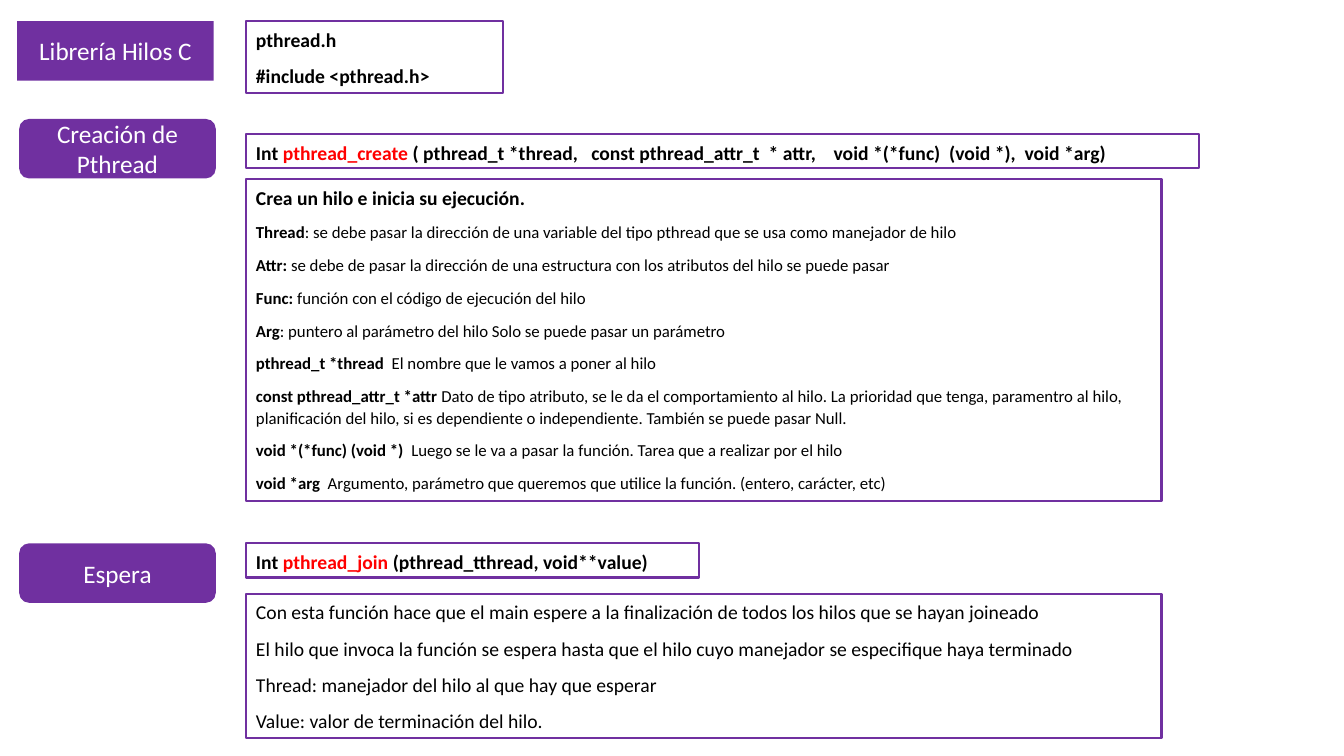
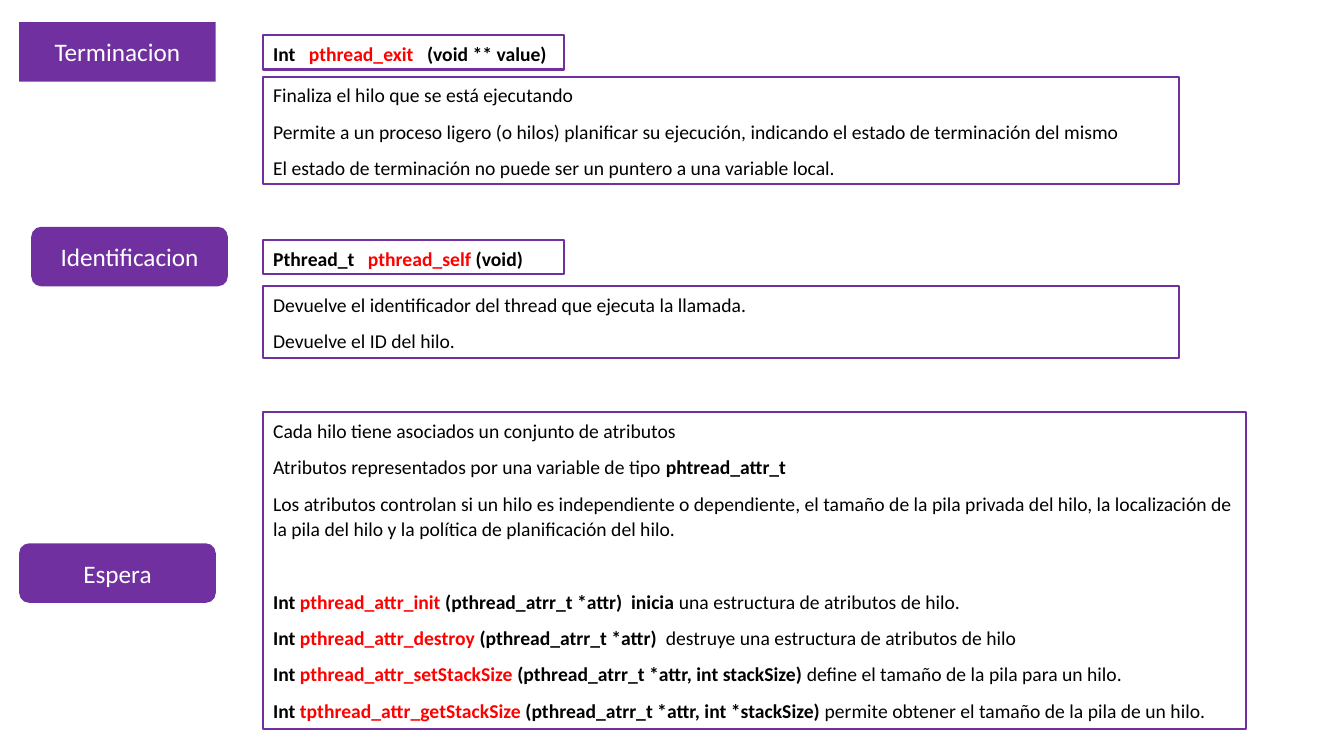
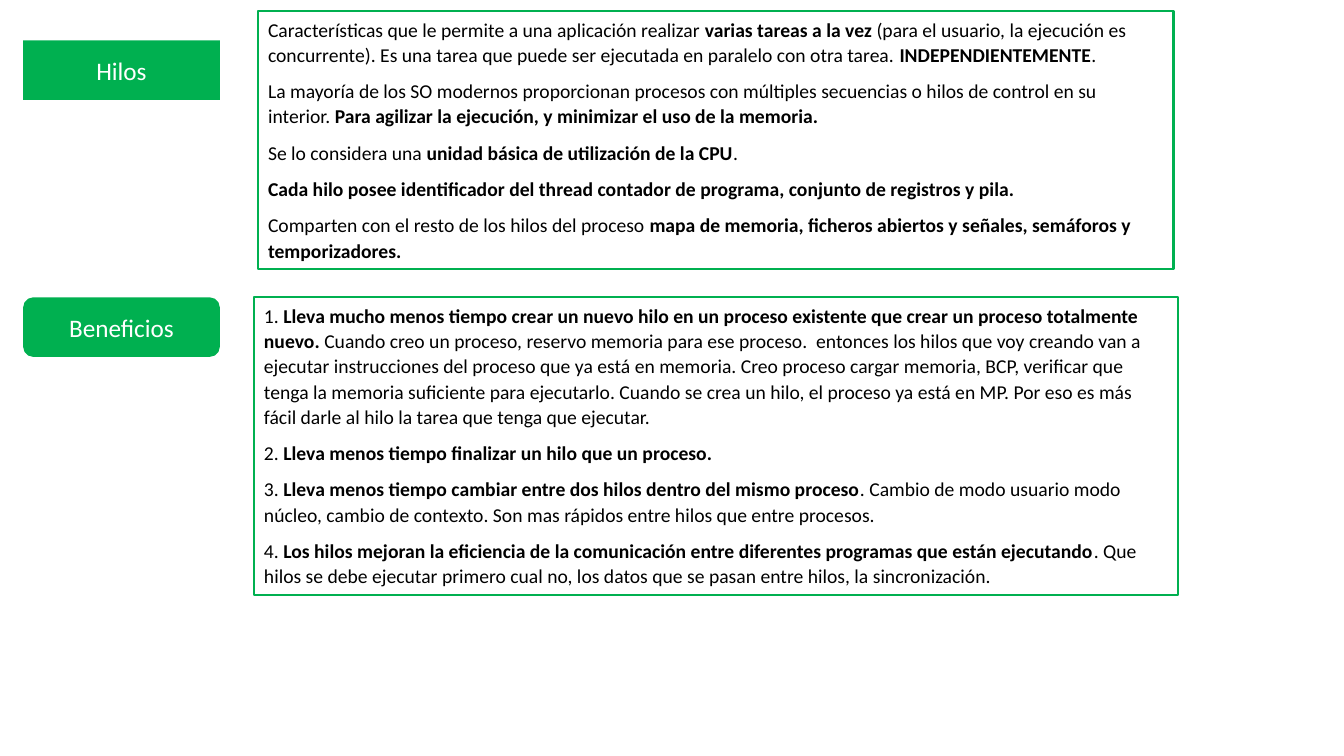
import pptx
import pptx.util
import pptx.dml.color
import pptx.enum.dml
import pptx.enum.shapes
import pptx.enum.text
import pptx.oxml

PX = 9144  # EMU in one px, 100 px to the inch
PAGE_SIZE = (1333, 750)
LABEL_SIZE = (195, 59)
TITLE_ONLY = 5
FONT = "Calibri"
COLOURS = {"purple": "7030A0", "green": "00B050", "call": "FF0000",
           "ink": "000000", "paper": "FFFFFF"}

# Text styles: size, bold, colour
STYLES = {
    "plain": (14, False, "ink"),
    "strong": (14, True, "ink"),
    "call": (14, True, "call"),
    "note": (12, False, "ink"),
    "term": (12, True, "ink"),
    "label": (18, False, "paper"),
}
BOX_PARA = {"line_spacing": 1.07, "space_after": pptx.util.Pt(8)}
LABEL_PARA = {"alignment": pptx.enum.text.PP_ALIGN.CENTER}
BOX_FRAME = {"word_wrap": True,
             "auto_size": pptx.enum.text.MSO_AUTO_SIZE.SHAPE_TO_FIT_TEXT}
LABEL_FRAME = {"word_wrap": True,
               "auto_size": pptx.enum.text.MSO_AUTO_SIZE.NONE,
               "vertical_anchor": pptx.enum.text.MSO_ANCHOR.MIDDLE}
SECTION_GAP = 26  # points above a paragraph that opens a new group


# Content: a paragraph is a list of (style, text)
def plain(text):
    return [("plain", text)]


def signature(kind, name, arguments):
    return [("strong", kind), ("call", name), ("strong", arguments)]


def definition(term, meaning):
    return [("term", term), ("note", meaning)]


INCLUDE = [[("strong", "pthread.h")], [("strong", "#include <pthread.h>")]]
CREATE_CALL = [signature(
    "Int ", "pthread_create ",
    "( pthread_t *thread,   const pthread_attr_t  * attr,    void *(*func)  (void *),  void *arg)")]
CREATE_TEXT = [
    [("strong", "Crea un hilo e inicia su ejecución.")],
    definition("Thread", ": se debe pasar la dirección de una variable del tipo pthread "
               "que se usa como manejador de hilo"),
    definition("Attr: ", "se debe de pasar la dirección de una estructura con los atributos "
               "del hilo se puede pasar"),
    definition("Func: ", "función con el código de ejecución del hilo"),
    definition("Arg", ": puntero al parámetro del hilo Solo se puede pasar un parámetro"),
    definition("pthread_t *thread  ", "El nombre que le vamos a poner al hilo"),
    definition("const pthread_attr_t *attr ",
               "Dato de tipo atributo, se le da el comportamiento al hilo. La prioridad que "
               "tenga, paramentro al hilo, planificación del hilo, si es dependiente o "
               "independiente. También se puede pasar Null."),
    definition("void *(*func) (void *) ",
               " Luego se le va a pasar la función. Tarea que a realizar por el hilo"),
    definition("void *arg ", " Argumento, parámetro que queremos que utilice la función. "
               "(entero, carácter, etc)"),
]
JOIN_CALL = [signature("Int ", "pthread_join ", "(pthread_tthread, void**value)")]
JOIN_TEXT = [
    plain("Con esta función hace que el main espere a la finalización de todos los hilos "
          "que se hayan joineado"),
    plain("El hilo que invoca la función se espera hasta que el hilo cuyo manejador se "
          "especifique haya terminado"),
    plain("Thread: manejador del hilo al que hay que esperar"),
    plain("Value: valor de terminación del hilo."),
]
EXIT_CALL = [signature("Int   ", "pthread_exit   ", "(void ** value)")]
EXIT_TEXT = [
    plain("Finaliza el hilo que se está ejecutando"),
    plain("Permite a un proceso ligero (o hilos) planificar su ejecución, indicando el "
          "estado de terminación del mismo"),
    plain("El estado de terminación no puede ser un puntero a una variable local."),
]
SELF_CALL = [signature("Pthread_t   ", "pthread_self ", "(void)")]
SELF_TEXT = [
    plain("Devuelve el identificador del thread que ejecuta la llamada."),
    plain("Devuelve el ID del hilo."),
]
ATTRIBUTES = [
    plain("Cada hilo tiene asociados un conjunto de atributos"),
    [("plain", "Atributos representados por una variable de tipo "),
     ("strong", "phtread_attr_t")],
    plain("Los atributos controlan si un hilo es independiente o dependiente, el tamaño de "
          "la pila privada del hilo, la localización de la pila del hilo y la política de "
          "planificación del hilo."),
    [("gap", "")] + signature("Int ", "pthread_attr_init ", "(pthread_atrr_t *attr)  inicia ")
    + plain("una estructura de atributos de hilo."),
    signature("Int ", "pthread_attr_destroy ", "(pthread_atrr_t *attr)  ")
    + plain("destruye una estructura de atributos de hilo"),
    signature("Int ", "pthread_attr_setStackSize ", "(pthread_atrr_t *attr, int stackSize) ")
    + plain("define el tamaño de la pila para un hilo."),
    signature("Int ", "tpthread_attr_getStackSize ", "(pthread_atrr_t *attr, int *stackSize) ")
    + plain("permite obtener el tamaño de la pila de un hilo."),
]
THREADS = [
    [("plain", "Características que le permite a una aplicación realizar "),
     ("strong", "varias tareas a la vez "),
     ("plain", "(para el usuario, la ejecución es concurrente). Es una tarea que puede ser "
      "ejecutada en paralelo con otra tarea. "),
     ("strong", "INDEPENDIENTEMENTE"), ("plain", ".")],
    [("plain", "La mayoría de los SO modernos proporcionan procesos con múltiples secuencias "
      "o hilos de control en su interior. "),
     ("strong", "Para agilizar la ejecución, y minimizar el uso de la memoria.")],
    [("plain", "Se lo considera una "),
     ("strong", "unidad básica de utilización de la CPU"), ("plain", ".")],
    [("strong", "Cada hilo posee identificador del thread contador de programa, conjunto de "
      "registros y pila.")],
    [("plain", "Comparten con el resto de los hilos del proceso "),
     ("strong", "mapa de memoria, ficheros abiertos y señales, semáforos y temporizadores.")],
]
BENEFITS = [
    [("plain", "1. "),
     ("strong", "Lleva mucho menos tiempo crear un nuevo hilo en un proceso existente que "
      "crear un proceso totalmente nuevo. "),
     ("plain", "Cuando creo un proceso, reservo memoria para ese proceso.  entonces los hilos "
      "que voy creando van a ejecutar instrucciones del proceso que ya está en memoria. Creo "
      "proceso cargar memoria, BCP, verificar que tenga la memoria suficiente para "
      "ejecutarlo. Cuando se crea un hilo, el proceso ya está en MP. Por eso es más fácil "
      "darle al hilo la tarea que tenga que ejecutar.")],
    [("plain", "2. "), ("strong", "Lleva menos tiempo finalizar un hilo que un proceso.")],
    [("plain", "3. "),
     ("strong", "Lleva menos tiempo cambiar entre dos hilos dentro del mismo proceso"),
     ("plain", ". Cambio de modo usuario modo núcleo, cambio de contexto. Son mas rápidos "
      "entre hilos que entre procesos.")],
    [("plain", "4. "),
     ("strong", "Los hilos mejoran la eficiencia de la comunicación entre diferentes "
      "programas que están ejecutando"),
     ("plain", ". Que hilos se debe ejecutar primero cual no, los datos que se pasan entre "
      "hilos, la sincronización.")],
]

# Pages: labels are (left, top, text); boxes are (left, top, width, height, paragraphs)
PAGES = [
    {"accent": "purple",
     "labels": [(17, 21, "Librería Hilos C"), (19, 118, "Creación de Pthread"),
                (19, 539, "Espera")],
     "boxes": [(244, 21, 255, 71, INCLUDE), (244, 133, 945, 34, CREATE_CALL),
               (244, 178, 908, 319, CREATE_TEXT), (244, 539, 449, 34, JOIN_CALL),
               (244, 589, 908, 143, JOIN_TEXT)]},
    {"accent": "purple",
     "labels": [(19, 22, "Terminacion"), (31, 225, "Identificacion"), (19, 539, "Espera")],
     "boxes": [(261, 35, 298, 34, EXIT_CALL), (261, 76, 908, 107, EXIT_TEXT),
               (261, 238, 298, 34, SELF_CALL), (261, 284, 908, 71, SELF_TEXT),
               (261, 409, 975, 314, ATTRIBUTES)]},
    {"accent": "green",
     "labels": [(23, 40, "Hilos"), (23, 295, "Beneficios")],
     "boxes": [(256, 11, 908, 256, THREADS), (252, 295, 916, 295, BENEFITS)]},
]


# Shared drawing
def colour(name):
    return pptx.dml.color.RGBColor.from_string(COLOURS[name])


def set_all(target, values):
    for name, value in values.items():
        setattr(target, name, value)


def paint(shape, fill):
    shape.fill.solid()
    shape.fill.fore_color.rgb = colour(fill)


def write(frame, paragraphs, frame_format, para_format):
    set_all(frame, frame_format)
    for index, spans in enumerate(paragraphs):
        para = frame.add_paragraph() if index else frame.paragraphs[0]
        set_all(para, para_format)
        for style, text in spans:
            if style == "gap":
                para.space_before = pptx.util.Pt(SECTION_GAP)
                continue
            size, bold, ink = STYLES[style]
            span = para.add_run()
            span.text = text
            set_all(span.font, {"name": FONT, "size": pptx.util.Pt(size), "bold": bold})
            span.font.color.rgb = colour(ink)


def add_label(page, is_title, left, top, text, accent):
    place = [value * PX for value in (left, top) + LABEL_SIZE]
    if is_title:
        label = page.shapes.title
        set_all(label, dict(zip(("left", "top", "width", "height"), place)))
        # The title placeholder takes the rounded outline of the other labels
        label.element.spPr.append(pptx.oxml.parse_xml(
            '<a:prstGeom xmlns:a="http://schemas.openxmlformats.org/drawingml/2006/main" '
            'prst="roundRect"><a:avLst/></a:prstGeom>'))
    else:
        label = page.shapes.add_shape(
            pptx.enum.shapes.MSO_SHAPE.ROUNDED_RECTANGLE, *place)
        label.shadow.inherit = False
    paint(label, accent)
    label.line.fill.background()
    write(label.text_frame, [[("label", text)]], LABEL_FRAME, LABEL_PARA)


def add_box(page, left, top, width, height, paragraphs, accent):
    box = page.shapes.add_textbox(*[value * PX for value in (left, top, width, height)])
    paint(box, "paper")
    box.line.color.rgb = colour(accent)
    box.line.width = pptx.util.Pt(1.5)
    write(box.text_frame, paragraphs, BOX_FRAME, BOX_PARA)


def main():
    deck = pptx.Presentation()
    deck.slide_width, deck.slide_height = [value * PX for value in PAGE_SIZE]
    for content in PAGES:
        page = deck.slides.add_slide(deck.slide_layouts[TITLE_ONLY])
        for index, label in enumerate(content["labels"]):
            add_label(page, index == 0, *label, content["accent"])
        for box in content["boxes"]:
            add_box(page, *box, content["accent"])
    deck.save("out.pptx")


if __name__ == "__main__":
    main()
